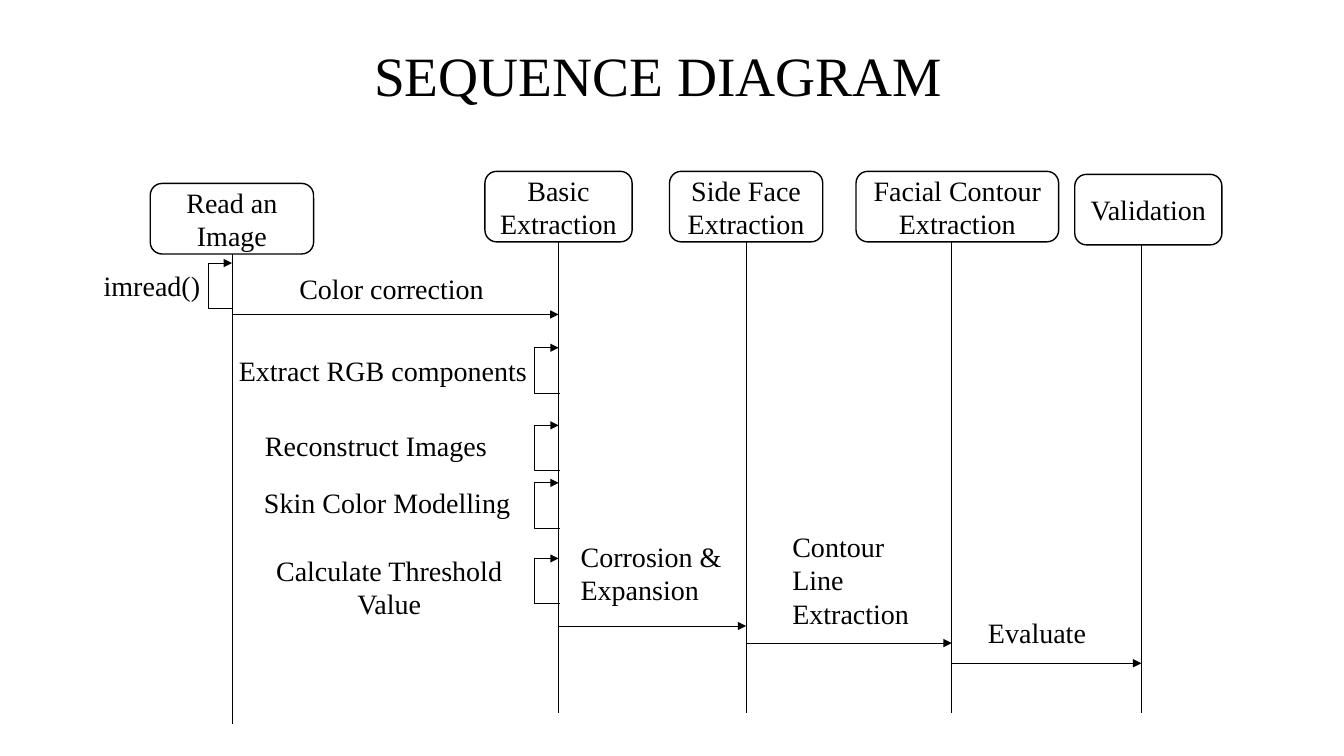
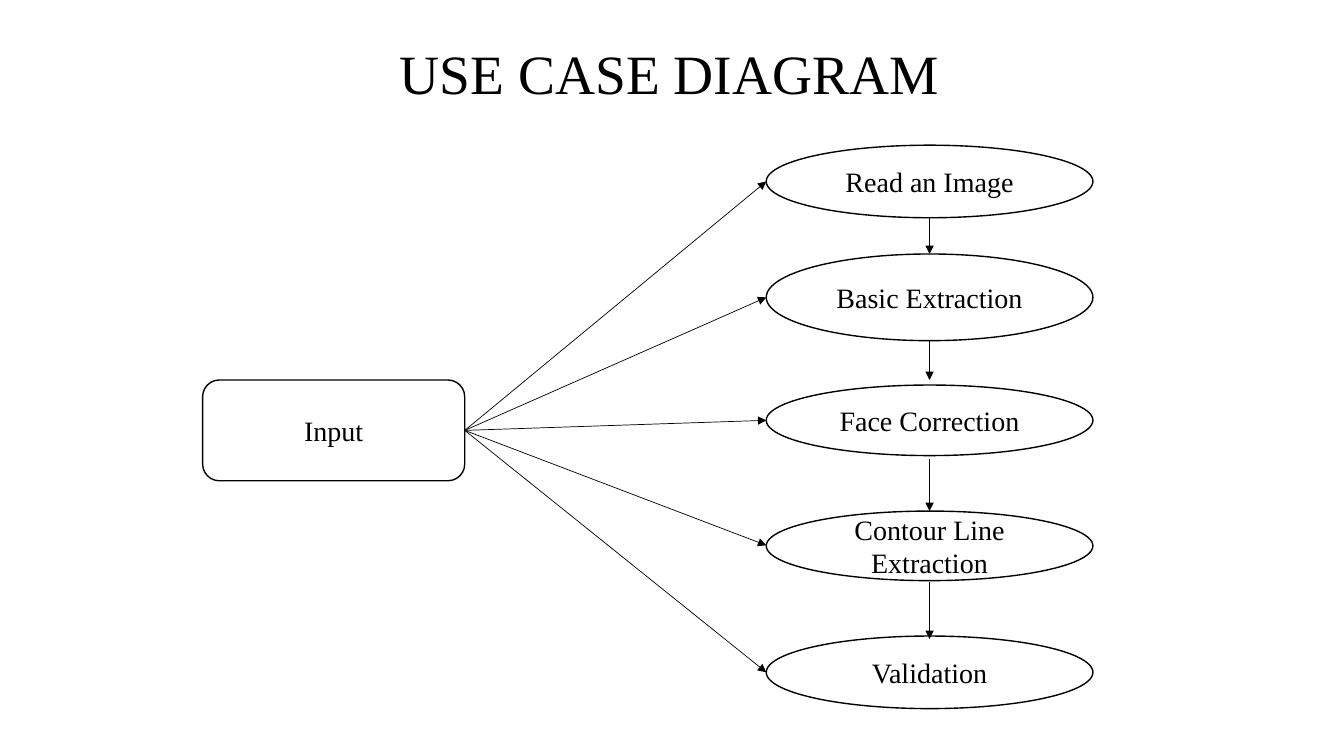
from lxml import etree
from pptx import Presentation
from pptx.dml.color import RGBColor
from pptx.enum import shapes, text
from pptx.oxml import ns
from pptx.util import Pt

PX = 9144  # EMU per px, 100 px to the inch
FONT = "Times New Roman"
COLORS = {"ink": "000000", "paper": "FFFFFF"}
ROUND = shapes.MSO_SHAPE.ROUNDED_RECTANGLE
OVAL = shapes.MSO_SHAPE.OVAL
CENTER, LEFT = text.PP_ALIGN.CENTER, text.PP_ALIGN.LEFT
BOTTOM, RIGHT = 2, 3  # connection sites of a rectangle

# Sequence diagram: (name, box, lifeline x, lifeline end)
SEQUENCE_TITLE = ("SEQUENCE DIAGRAM", (78, 40, 1150, 76))
PARTICIPANTS = [
    ("Read an Image", (149, 182, 162, 70), 230, 718),
    ("Basic Extraction", (481, 170, 146, 70), 554, 707),
    ("Side Face Extraction", (664, 170, 152, 70), 740, 707),
    ("Facial Contour Extraction", (849, 170, 201, 70), 944, 707),
    ("Validation", (1066, 173, 146, 70), 1132, 707),
]
# Messages to the next participant: (sender, y)
MESSAGES = [(0, 312), (1, 621), (2, 638), (3, 658)]
# Calls to itself: (participant, top)
SELF_CALLS = [(0, 261), (1, 345), (1, 422), (1, 479), (1, 554)]
LOOP_DEPTH, LOOP_HEIGHT = 25, 45
LABELS = [
    ("imread()", (93, 261, 127, 44), LEFT),
    ("Color correction", (287, 264, 207, 44), LEFT),
    ("Extract RGB components", (227, 346, 309, 44), LEFT),
    ("Reconstruct Images", (253, 420, 246, 44), LEFT),
    ("Skin Color Modelling", (252, 477, 276, 44), LEFT),
    ("Calculate Threshold Value", (260, 544, 252, 77), CENTER),
    ("Corrosion & Expansion", (566, 530, 168, 77), LEFT),
    ("Contour Line Extraction", (776, 520, 153, 111), LEFT),
    ("Evaluate", (970, 606, 168, 44), LEFT),
]

# Use case diagram: (name, top, height)
USE_CASE_TITLE = ("USE CASE DIAGRAM", (92, 40, 1144, 71))
ACTOR = ("Input", (201, 377, 260, 100))
CASE_LEFT, CASE_WIDTH = 760, 324
CASES = [
    ("Read an Image", 144, 72),
    ("Basic Extraction", 252, 86),
    ("Face Correction", 382, 70),
    ("Contour Line Extraction", 507, 69),
    ("Validation", 631, 72),
]
STEPS = [(216, 252), (338, 377), (455, 507), (577, 634)]  # arrow start and end y


def color(name):
    return RGBColor.from_string(COLORS[name])


def emu(values):
    return [v * PX for v in values]


def write(tf, words, size, align):
    tf.word_wrap = True
    p = tf.paragraphs[0]
    p.text, p.alignment = words, align
    p.font.name, p.font.size = FONT, Pt(size)
    p.font.color.rgb = color("ink")
    return p


def add_slide(prs, words, box):
    slide = prs.slides.add_slide(prs.slide_layouts[5])
    title = slide.shapes.title
    title.left, title.top, title.width, title.height = emu(box)
    title.text_frame.vertical_anchor = text.MSO_ANCHOR.MIDDLE
    write(title.text_frame, words, 39.6, CENTER).line_spacing = 0.9
    return slide


def add_node(slide, kind, words, box):
    sp = slide.shapes.add_shape(kind, *emu(box))
    sp.shadow.inherit = False
    sp.fill.solid()
    sp.fill.fore_color.rgb = color("paper")
    sp.line.color.rgb, sp.line.width = color("ink"), Pt(1)
    sp.text_frame.vertical_anchor = text.MSO_ANCHOR.MIDDLE
    write(sp.text_frame, words, 20, CENTER)
    return sp


def add_label(slide, words, box, align):
    tf = slide.shapes.add_textbox(*emu(box)).text_frame
    write(tf, words, 20, align)
    tf.auto_size = text.MSO_AUTO_SIZE.SHAPE_TO_FIT_TEXT


def add_line(slide, start, end, arrow=True, kind=shapes.MSO_CONNECTOR.STRAIGHT):
    line = slide.shapes.add_connector(kind, *emu(start + end))
    line.line.color.rgb, line.line.width = color("ink"), Pt(0.5)
    if arrow:
        ln = line.line._get_or_add_ln()
        etree.SubElement(ln, ns.qn("a:tailEnd"), type="triangle")
    etree.SubElement(line._element.spPr, ns.qn("a:effectLst"))
    return line


def add_loop(slide, x, top):
    """Elbow one px wide, turned round, so it bends out to the left and back."""
    loop = add_line(slide, (x, top), (x + 1, top + LOOP_HEIGHT),
                    kind=shapes.MSO_CONNECTOR.ELBOW)
    spPr = loop._element.spPr
    spPr.find(ns.qn("a:xfrm")).set("rot", "10800000")
    guides = spPr.find(ns.qn("a:prstGeom")).get_or_add_avLst()
    etree.SubElement(guides, ns.qn("a:gd"), name="adj1",
                     fmla=f"val {LOOP_DEPTH * 100000}")


def sequence_slide(prs):
    slide = add_slide(prs, *SEQUENCE_TITLE)
    # Participants and lifelines
    for name, box, x, end in PARTICIPANTS:
        node = add_node(slide, ROUND, name, box)
        left, top, width, height = box
        lifeline = add_line(slide, (x, top + height), (x, end), arrow=False)
        if left + width / 2 == x:
            lifeline.begin_connect(node, BOTTOM)
    # Messages and calls
    xs = [x for _, _, x, _ in PARTICIPANTS]
    for sender, y in MESSAGES:
        add_line(slide, (xs[sender], y), (xs[sender + 1], y))
    for owner, top in SELF_CALLS:
        add_loop(slide, xs[owner], top)
    for label in LABELS:
        add_label(slide, *label)


def use_case_slide(prs):
    slide = add_slide(prs, *USE_CASE_TITLE)
    actor = add_node(slide, ROUND, *ACTOR)
    left, top, width, height = ACTOR[1]
    # Use cases, each reached from the actor
    for name, case_top, case_height in CASES:
        add_node(slide, OVAL, name, (CASE_LEFT, case_top, CASE_WIDTH, case_height))
        link = add_line(slide, (left + width, top + height // 2),
                        (CASE_LEFT, case_top + case_height // 2))
        link.begin_connect(actor, RIGHT)
    # Steps from one use case to the next
    middle = CASE_LEFT + CASE_WIDTH // 2
    for start, end in STEPS:
        add_line(slide, (middle, start), (middle, end))


def main():
    prs = Presentation()
    prs.slide_width, prs.slide_height = emu((1333, 750))
    sequence_slide(prs)
    use_case_slide(prs)
    prs.save("out.pptx")


if __name__ == "__main__":
    main()
